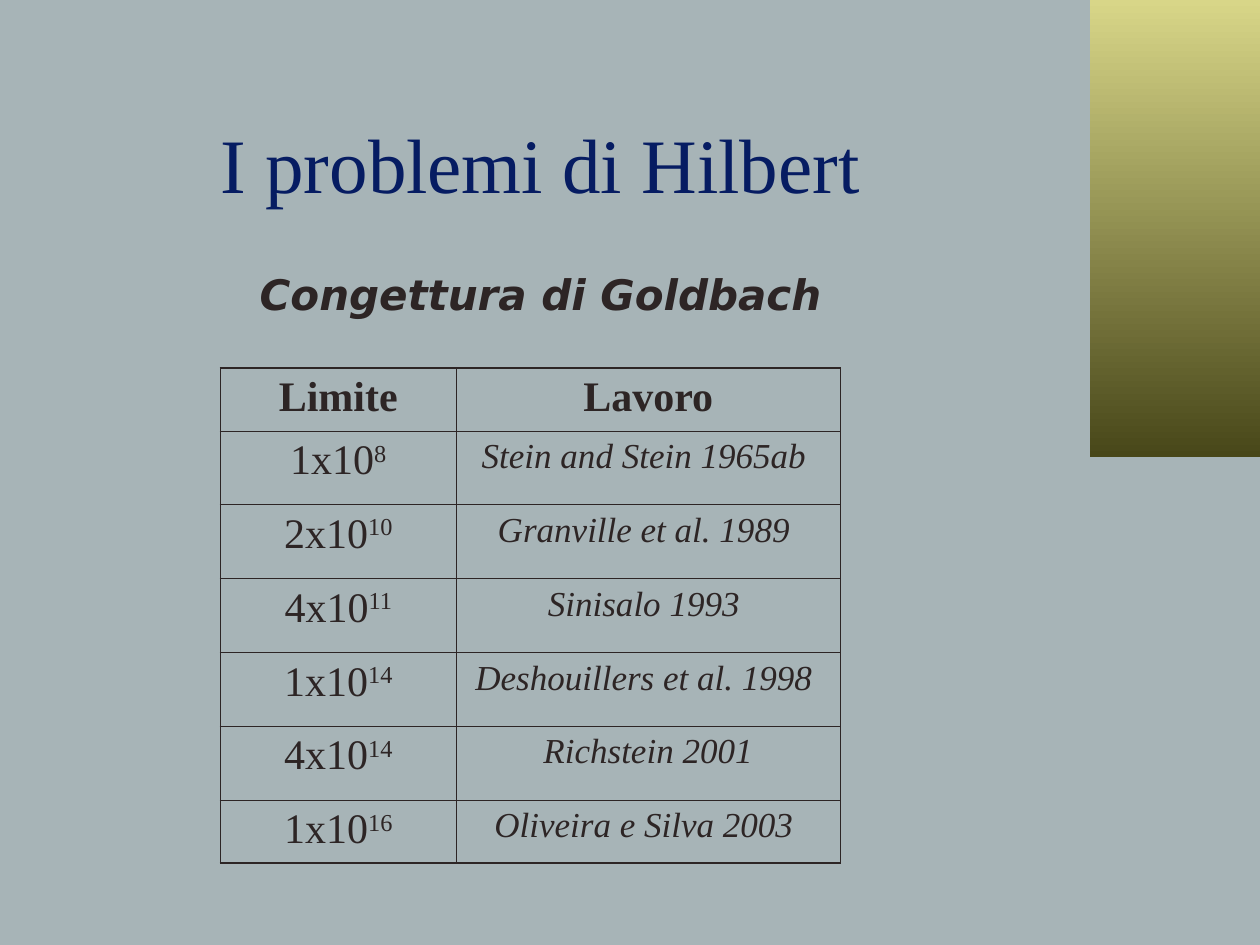
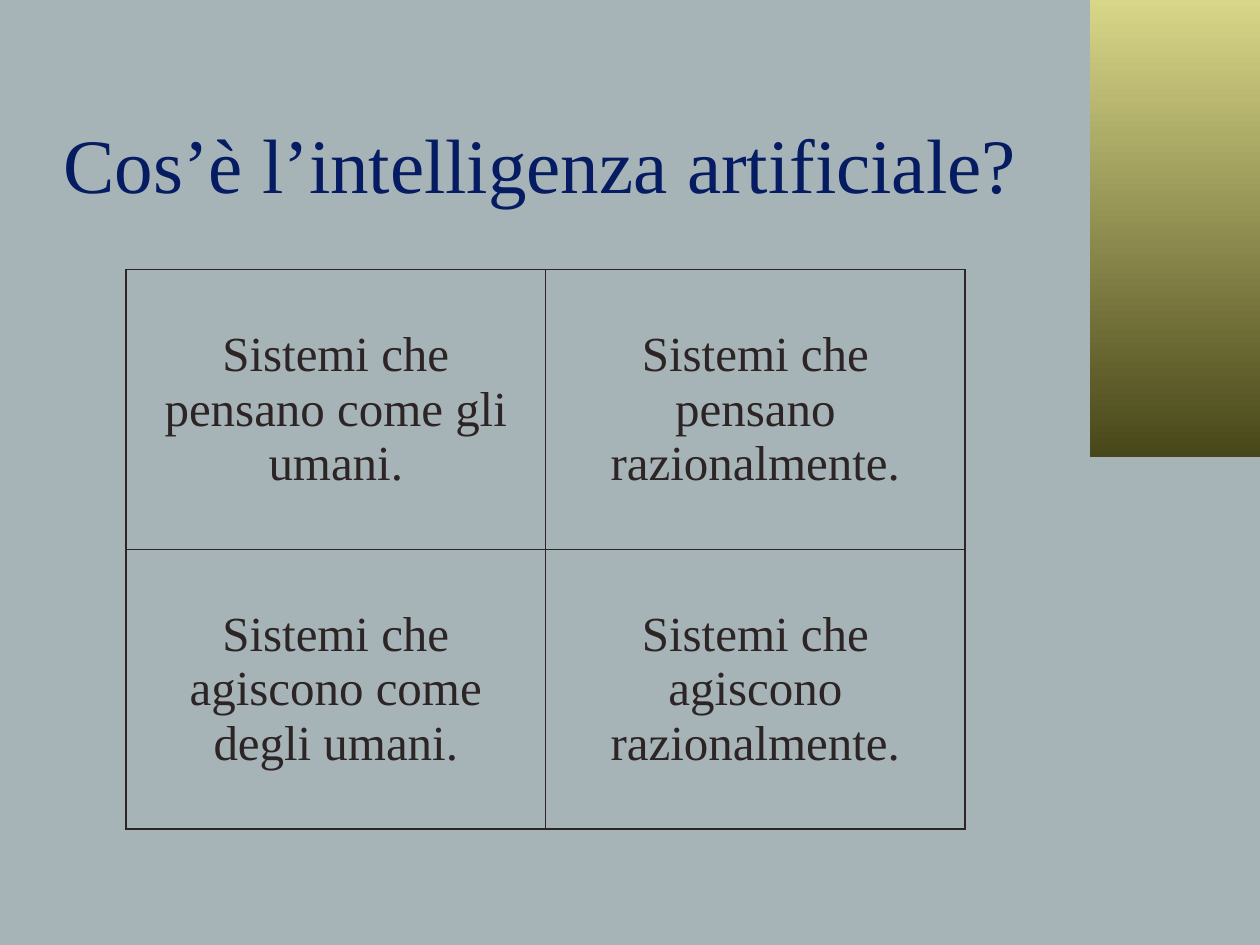
from lxml import etree
from pptx import Presentation
from pptx.dml.color import RGBColor
from pptx.enum.shapes import MSO_SHAPE
from pptx.enum.text import MSO_ANCHOR, PP_ALIGN
from pptx.oxml.ns import qn
from pptx.util import Inches, Pt

# Shared style
BACKGROUND = RGBColor(0xA7, 0xB4, 0xB7)
BAND_TOP = RGBColor(0xD8, 0xD6, 0x88)
BAND_BOTTOM = RGBColor(0x48, 0x47, 0x19)
TITLE = RGBColor(0x06, 0x1C, 0x62)
INK = RGBColor(0x2D, 0x25, 0x25)
SERIF = "Times New Roman"
SANS = "DejaVu Sans"
INNER, OUTER = Pt(0.45), Pt(1.08)

# Goldbach checks: mantissa, exponent, work
# (trailing spaces are part of the centred text)
GOLDBACH = [
    ("1x10", "8", "Stein and Stein 1965ab "),
    ("2x10", "10", "Granville et al. 1989 "),
    ("4x10", "11", "Sinisalo 1993 "),
    ("1x10", "14", "Deshouillers et al. 1998 "),
    ("4x10", "14", " Richstein 2001 "),
    ("1x10", "16", "Oliveira e Silva 2003 "),
]
AI_SYSTEMS = [
    ["Sistemi che pensano come gli umani.", "Sistemi che pensano razionalmente."],
    ["Sistemi che agiscono come degli umani.", "Sistemi che agiscono razionalmente."],
]


class Deck:
    def __init__(self):
        self.prs = Presentation()
        self.prs.slide_width, self.prs.slide_height = Inches(10), Inches(7.5)
        fill = self.prs.slide_master.background.fill
        fill.solid()
        fill.fore_color.rgb = BACKGROUND
        self.s = None

    def new_slide(self, title):
        self.s = self.prs.slides.add_slide(self.prs.slide_layouts[5])
        self.band()
        self.title(title)

    def band(self):
        sp = self.s.shapes.add_shape(
            MSO_SHAPE.RECTANGLE, Inches(8.65), 0, Inches(1.35), Inches(3.63))
        sp.shadow.inherit = False
        sp.line.fill.background()
        sp.fill.gradient()
        sp.fill.gradient_angle = 270
        for stop, color in zip(sp.fill.gradient_stops, (BAND_TOP, BAND_BOTTOM)):
            stop.color.rgb = color

    def title(self, text):
        sp = self.s.shapes.title
        sp.left, sp.top = Inches(0.25), Inches(0.67)
        sp.width, sp.height = Inches(8.08), Inches(1.25)
        tf = sp.text_frame
        tf.vertical_anchor = MSO_ANCHOR.MIDDLE
        p = self.paragraph(tf)
        self.run(p, text, 44, color=TITLE)

    def subtitle(self, text):
        sp = self.s.shapes.add_textbox(
            Inches(0.75), Inches(2.08), Inches(7.08), Inches(0.5))
        tf = sp.text_frame
        tf.word_wrap = True
        p = self.paragraph(tf, 15)
        self.run(p, text, 24, SANS, bold=True, italic=True)

    def paragraph(self, tf, before=0):
        p = tf.paragraphs[0]
        p.alignment = PP_ALIGN.CENTER
        p.space_before = Pt(before)
        return p

    def run(self, p, text, size, font=SERIF, color=INK, bold=False,
            italic=False, raised=False):
        r = p.add_run()
        r.text = text
        r.font.size, r.font.name = Pt(size), font
        r.font.color.rgb = color
        r.font.bold, r.font.italic = bold, italic
        if raised:
            r.font._element.set("baseline", "30000")

    def table(self, left, top, widths, heights):
        frame = self.s.shapes.add_table(
            len(heights), len(widths), Inches(left), Inches(top),
            Inches(sum(widths)), Inches(sum(heights)))
        table = frame.table
        table.first_row = table.horz_banding = False
        for column, width in zip(table.columns, widths):
            column.width = Inches(width)
        for row, height in zip(table.rows, heights):
            row.height = Inches(height)
        last_row, last_col = len(heights) - 1, len(widths) - 1
        for i in range(last_row + 1):
            for j in range(last_col + 1):
                self.borders(table.cell(i, j), {
                    "a:lnL": j == 0, "a:lnR": j == last_col,
                    "a:lnT": i == 0, "a:lnB": i == last_row})
        return table

    def borders(self, cell, edges):
        tc_pr = cell._tc.get_or_add_tcPr()
        for tag, is_outer in edges.items():
            ln = etree.SubElement(tc_pr, qn(tag), w=str(OUTER if is_outer else INNER))
            solid = etree.SubElement(ln, qn("a:solidFill"))
            etree.SubElement(solid, qn("a:srgbClr"), val=str(INK))
        cell.fill.background()

    def cell(self, cell, text, size, before, anchor=MSO_ANCHOR.TOP,
             exponent="", **style):
        cell.vertical_anchor = anchor
        p = self.paragraph(cell.text_frame, before)
        self.run(p, text, size, **style)
        if exponent:
            self.run(p, exponent, size, raised=True, **style)


def main():
    deck = Deck()

    # Slide 1: limits reached for the Goldbach conjecture
    deck.new_slide("I problemi di Hilbert")
    deck.subtitle("Congettura di Goldbach")
    limits = deck.table(1.75, 2.92, [1.87, 3.05], [0.5] + [0.586] * 5 + [0.5])
    for j, heading in enumerate(("Limite", "Lavoro")):
        deck.cell(limits.cell(0, j), heading, 24, 6, bold=True)
    for i, (mantissa, exponent, work) in enumerate(GOLDBACH, 1):
        deck.cell(limits.cell(i, 0), mantissa, 24, 6, exponent=exponent)
        deck.cell(limits.cell(i, 1), work, 20, 5, italic=True)

    # Slide 2: four views of artificial intelligence
    deck.new_slide("Cos’è l’intelligenza artificiale?")
    views = deck.table(1, 2.14, [3.33] * 2, [2.22] * 2)
    for i, row in enumerate(AI_SYSTEMS):
        for j, text in enumerate(row):
            deck.cell(views.cell(i, j), text, 28, 7, MSO_ANCHOR.MIDDLE)

    deck.prs.save("out.pptx")


if __name__ == "__main__":
    main()
